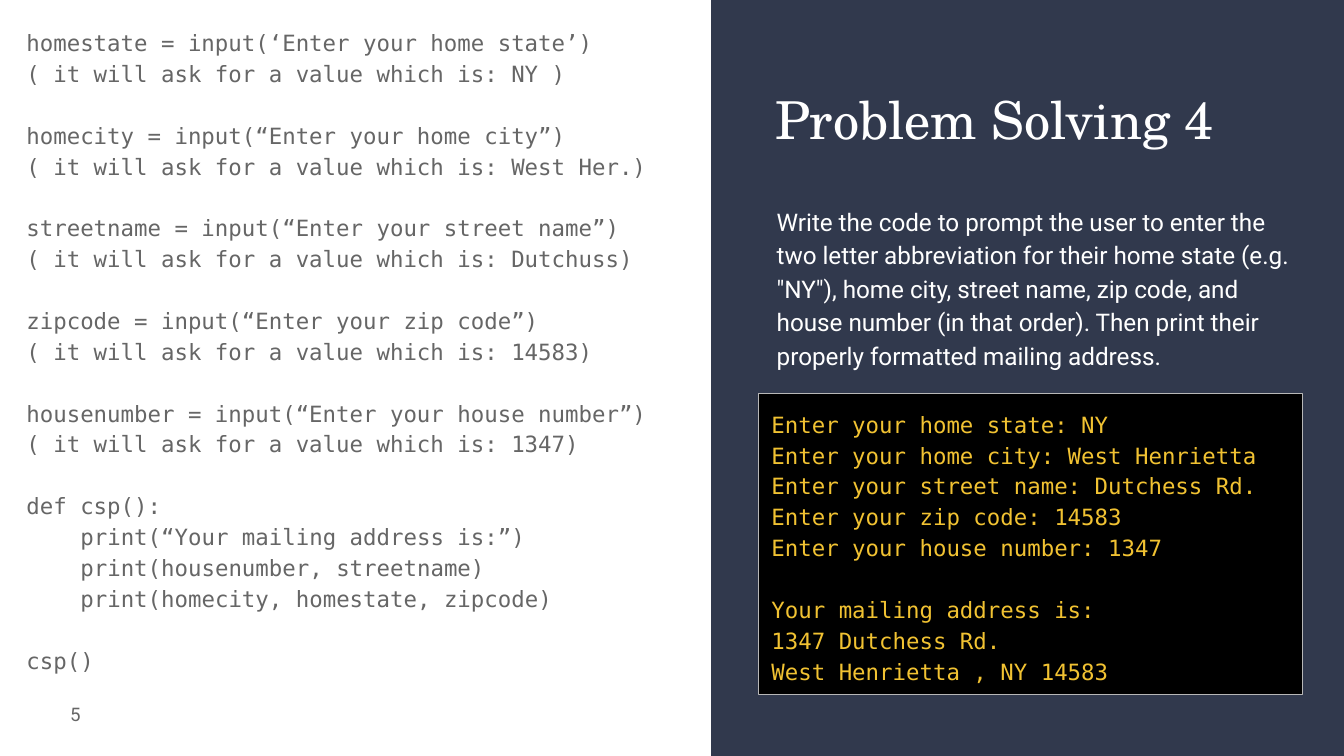
from dataclasses import dataclass

from pptx import Presentation
from pptx import util as u
from pptx.dml import color
from pptx.enum import shapes, text


@dataclass(frozen=True)
class Style:
    """Font, size and colour of a text."""
    font: str
    size: float
    color: str


@dataclass(frozen=True)
class Theme:
    """Colours and type styles of the slide."""
    panel: str = "31394D"
    paper: str = "FFFFFF"
    screen: str = "000000"
    screen_edge: str = "B7B7B7"
    title: Style = Style("TeX Gyre Schola", 28, "FFFFFF")
    prompt: Style = Style("Roboto", 13, "FFFFFF")
    number: Style = Style("Roboto", 10, "666666")
    code: Style = Style("DejaVu Sans Mono", 12, "666666")
    console: Style = Style("DejaVu Sans Mono", 12, "F1C232")
    line_spacing: float = 1.15
    block_gap: float = 16.5
    indent: float = 1.02


THEME = Theme()

QUESTIONS = [
    ("homestate", "‘Enter your home state’", "NY )"),
    ("homecity", "“Enter your home city”", "West Her.)"),
    ("streetname", "“Enter your street name”", "Dutchuss)"),
    ("zipcode", "“Enter your zip code”", "14583)"),
    ("housenumber", "“Enter your house number”", "1347)"),
]

CODE = [
    [f"{name} = input({prompt})", f"( it will ask for a value which is: {answer}"]
    for name, prompt, answer in QUESTIONS
] + [
    [
        "def csp():",
        "\tprint(“Your mailing address is:”)",
        "\tprint(housenumber, streetname)",
        "\tprint(homecity, homestate, zipcode)",
    ],
    ["csp()"],
]

CONSOLE = [
    [
        "Enter your home state: NY",
        "Enter your home city: West Henrietta",
        "Enter your street name: Dutchess Rd.",
        "Enter your zip code: 14583",
        "Enter your house number: 1347",
    ],
    ["Your mailing address is:", "1347 Dutchess Rd.", "West Henrietta , NY 14583"],
]

PROMPT = (
    "Write the code to prompt the user to enter the two letter abbreviation "
    'for their home state (e.g. "NY"), home city, street name, zip code, and '
    "house number (in that order). Then print their properly formatted mailing address."
)


def rgb(value):
    """Turn a hex string into a colour."""
    return color.RGBColor.from_string(value)


def place(box):
    """Convert left, top, width and height to lengths."""
    return [u.Cm(value) for value in box]


def add_rectangle(slide, box, fill=None, edge=None):
    """Add a rectangle with an optional fill and outline."""
    shape = slide.shapes.add_shape(shapes.MSO_SHAPE.RECTANGLE, *place(box))
    shape.shadow.inherit = False
    if fill:
        shape.fill.solid()
        shape.fill.fore_color.rgb = rgb(fill)
    else:
        shape.fill.background()
    if edge:
        shape.line.color.rgb = rgb(edge)
        shape.line.width = u.Pt(0.75)
    else:
        shape.line.fill.background()
    return shape


def prepare_frame(shape, anchor=text.MSO_ANCHOR.TOP):
    """Set wrapping, anchor and margins of a shape's text."""
    frame = shape.text_frame
    frame.word_wrap = True
    frame.vertical_anchor = anchor
    frame.margin_left = frame.margin_right = u.Cm(0.25)
    frame.margin_top = frame.margin_bottom = u.Cm(0.25)
    return frame


def format_paragraph(paragraph, style, align=text.PP_ALIGN.LEFT, spacing=1.0):
    """Apply a type style, alignment and line spacing."""
    paragraph.alignment = align
    paragraph.line_spacing = spacing
    for run in paragraph.runs:
        run.font.name = style.font
        run.font.size = u.Pt(style.size)
        run.font.color.rgb = rgb(style.color)


def add_text(slide, box, words, style, anchor=text.MSO_ANCHOR.TOP, **layout):
    """Add a text box with one paragraph."""
    frame = prepare_frame(slide.shapes.add_textbox(*place(box)), anchor)
    frame.text = words
    format_paragraph(frame.paragraphs[0], style, **layout)


def add_listing(slide, box, blocks, style, fill=None, edge=None):
    """Add a rectangle with blocks of code lines set apart by a gap."""
    frame = prepare_frame(add_rectangle(slide, box, fill, edge))
    lines = [(line, row == 0) for block in blocks for row, line in enumerate(block)]
    frame.text = "\n".join(line.lstrip("\t") for line, _ in lines)
    for index, (paragraph, (line, starts)) in enumerate(zip(frame.paragraphs, lines)):
        format_paragraph(paragraph, style, spacing=THEME.line_spacing)
        if starts and index:
            paragraph.space_before = u.Pt(THEME.block_gap)
        if line.startswith("\t"):
            paragraph._p.get_or_add_pPr().set("marL", str(u.Cm(THEME.indent)))


def main():
    """Build the slide and save it."""
    presentation = Presentation()
    presentation.slide_width, presentation.slide_height = u.Cm(25.4), u.Cm(14.29)
    slide = presentation.slides.add_slide(presentation.slide_layouts[6])
    add_rectangle(slide, (13.44, 0, 11.96, 14.29), THEME.panel)
    add_text(slide, (14.4, 1.4, 10.29, 1.78), "Problem Solving 4", THEME.title)
    add_listing(slide, (0.25, 0.23, 12.37, 12.32), CODE, THEME.code, edge=THEME.paper)
    add_text(slide, (0.25, 12.95, 1.52, 1.09), "5", THEME.number,
             text.MSO_ANCHOR.MIDDLE, align=text.PP_ALIGN.RIGHT)
    add_text(slide, (14.43, 3.58, 10.29, 3.43), PROMPT, THEME.prompt,
             spacing=THEME.line_spacing)
    add_listing(slide, (14.33, 7.44, 10.29, 5.69), CONSOLE, THEME.console,
                THEME.screen, THEME.screen_edge)
    presentation.save("out.pptx")


if __name__ == "__main__":
    main()
